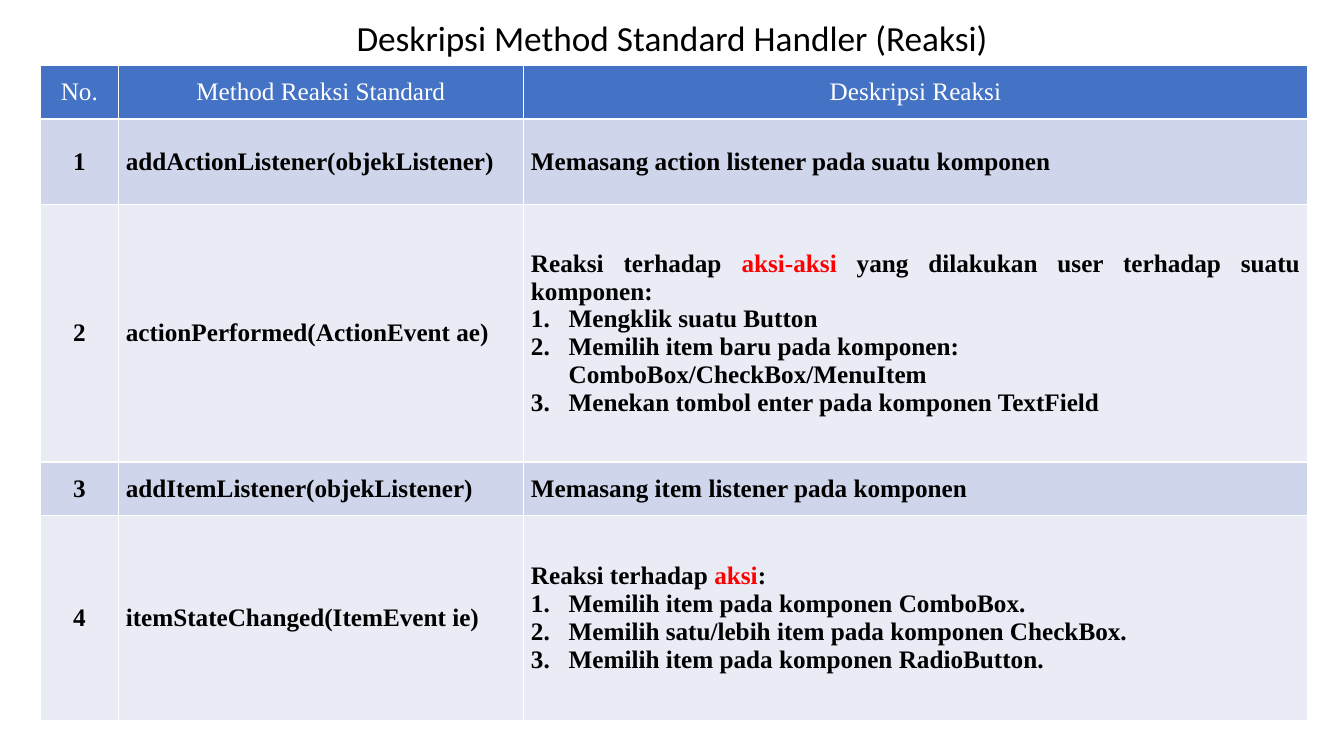
from dataclasses import dataclass

from lxml import etree
from pptx import Presentation
from pptx.dml.color import RGBColor
from pptx.enum.text import MSO_ANCHOR, MSO_AUTO_SIZE, PP_ALIGN
from pptx.oxml.ns import qn
from pptx.slide import Slide
from pptx.table import _Cell
from pptx.util import Cm, Pt

LEFT, CENTER, JUST = PP_ALIGN.LEFT, PP_ALIGN.CENTER, PP_ALIGN.JUSTIFY
MIDDLE = MSO_ANCHOR.MIDDLE
NO_FIT = MSO_AUTO_SIZE.NONE

COLORS = {
    "head": "4472C4",
    "odd": "CFD5EA",
    "even": "E9EBF5",
    "white": "FFFFFF",
    "black": "000000",
    "red": "FF0000",
}
WIDTHS = (1.96, 10.21, 19.76)
HEIGHTS = (1.35, 2.16, 6.48, 1.35, 5.16)
INDENT = 0.95


@dataclass
class Phrase:
    text: str
    color: str = "black"
    bold: bool = True


@dataclass
class Line:
    phrases: list[Phrase]
    align: PP_ALIGN = LEFT
    listed: bool = False


@dataclass
class Method:
    name: str
    lines: list[Line]


def plain(text: str, align: PP_ALIGN = LEFT) -> Line:
    return Line([Phrase(text)], align)


def head(text: str) -> Line:
    return Line([Phrase(text, "white", False)], CENTER)


def item(*rows: str) -> Line:
    return Line([Phrase(row) for row in rows], listed=True)


METHODS = [
    Method("addActionListener(objekListener)",
           [plain("Memasang action listener pada suatu komponen")]),
    Method("actionPerformed(ActionEvent ae)", [
        Line([Phrase("Reaksi terhadap "), Phrase("aksi-aksi", "red"),
              Phrase(" yang dilakukan user terhadap suatu komponen:")], JUST),
        item("Mengklik suatu Button"),
        item("Memilih item baru pada komponen:", "ComboBox/CheckBox/MenuItem"),
        item("Menekan tombol enter pada komponen TextField"),
    ]),
    Method("addItemListener(objekListener)",
           [plain("Memasang item listener pada komponen", JUST)]),
    Method("itemStateChanged(ItemEvent ie)", [
        Line([Phrase("Reaksi terhadap "), Phrase("aksi", "red"),
              Phrase(":")], JUST),
        item("Memilih item pada komponen ComboBox."),
        item("Memilih satu/lebih item pada komponen CheckBox."),
        item("Memilih item pada komponen RadioButton."),
    ]),
]


def paint(font, color: str, face: str, size: float, bold: bool) -> None:
    font.name, font.size, font.bold = face, Pt(size), bold
    font.color.rgb = RGBColor.from_string(COLORS[color])


def number(para) -> None:
    props = para._p.get_or_add_pPr()
    props.set("marL", str(Cm(INDENT)))
    props.set("indent", str(-Cm(INDENT)))
    etree.SubElement(props, qn("a:buAutoNum"), type="arabicPeriod")


def fill_cell(cell: _Cell, lines: list[Line], color: str) -> None:
    cell.fill.solid()
    cell.fill.fore_color.rgb = RGBColor.from_string(COLORS[color])
    cell.vertical_anchor = MIDDLE
    cell.margin_left = cell.margin_right = Cm(0.19)
    cell.margin_top = cell.margin_bottom = 0
    frame = cell.text_frame
    for i, line in enumerate(lines):
        para = frame.add_paragraph() if i else frame.paragraphs[0]
        para.alignment = line.align
        if line.listed:
            number(para)
        for j, phrase in enumerate(line.phrases):
            if j and line.listed:
                para.add_line_break()
            run = para.add_run()
            run.text = phrase.text
            paint(run.font, phrase.color, "Times New Roman", 18, phrase.bold)


def add_title(slide: Slide) -> None:
    title = slide.shapes.title
    title.left, title.top = Cm(5.51), Cm(0.38)
    title.width, title.height = Cm(22.86), Cm(1.27)
    frame = title.text_frame
    frame.auto_size, frame.vertical_anchor = NO_FIT, MIDDLE
    para = frame.paragraphs[0]
    para.alignment, para.line_spacing = CENTER, 0.9
    run = para.add_run()
    run.text = "Deskripsi Method Standard Handler (Reaksi)"
    paint(run.font, "black", "Calibri", 25.2, False)


def add_grid(slide: Slide) -> None:
    table = slide.shapes.add_table(
        len(HEIGHTS), len(WIDTHS), Cm(1.02), Cm(1.65),
        Cm(sum(WIDTHS)), Cm(sum(HEIGHTS))).table
    for col, width in zip(table.columns, WIDTHS):
        col.width = Cm(width)
    for row, height in zip(table.rows, HEIGHTS):
        row.height = Cm(height)
    names = ("No.", "Method Reaksi Standard", "Deskripsi Reaksi")
    for col, name in enumerate(names):
        fill_cell(table.cell(0, col), [head(name)], "head")
    for row, method in enumerate(METHODS, 1):
        color = "odd" if row % 2 else "even"
        cells = ([plain(str(row), CENTER)], [plain(method.name)], method.lines)
        for col, lines in enumerate(cells):
            fill_cell(table.cell(row, col), lines, color)


def main() -> None:
    deck = Presentation()
    deck.slide_width, deck.slide_height = Cm(33.87), Cm(19.05)
    slide = deck.slides.add_slide(deck.slide_layouts[5])
    add_grid(slide)
    add_title(slide)
    deck.save("out.pptx")


if __name__ == "__main__":
    main()
